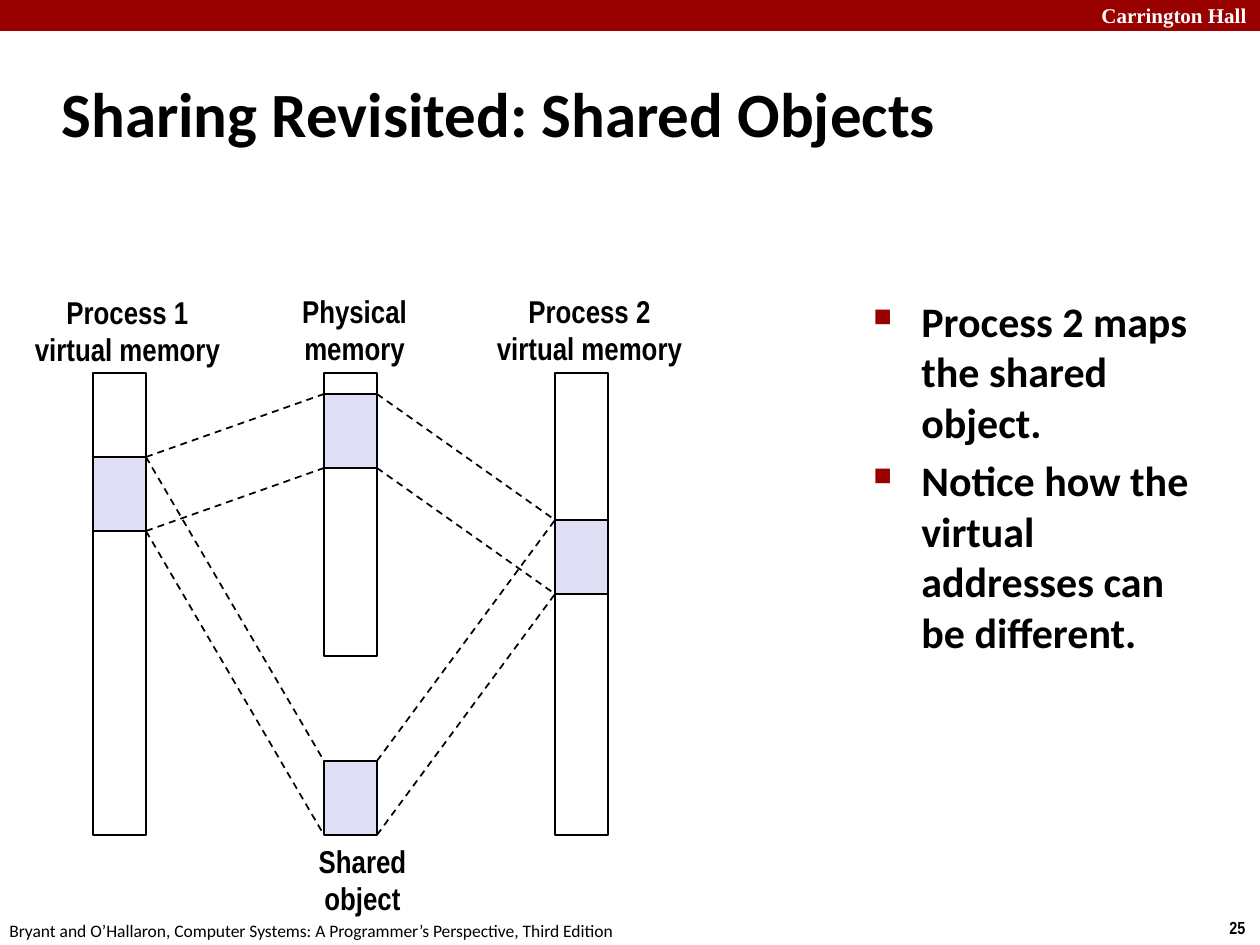
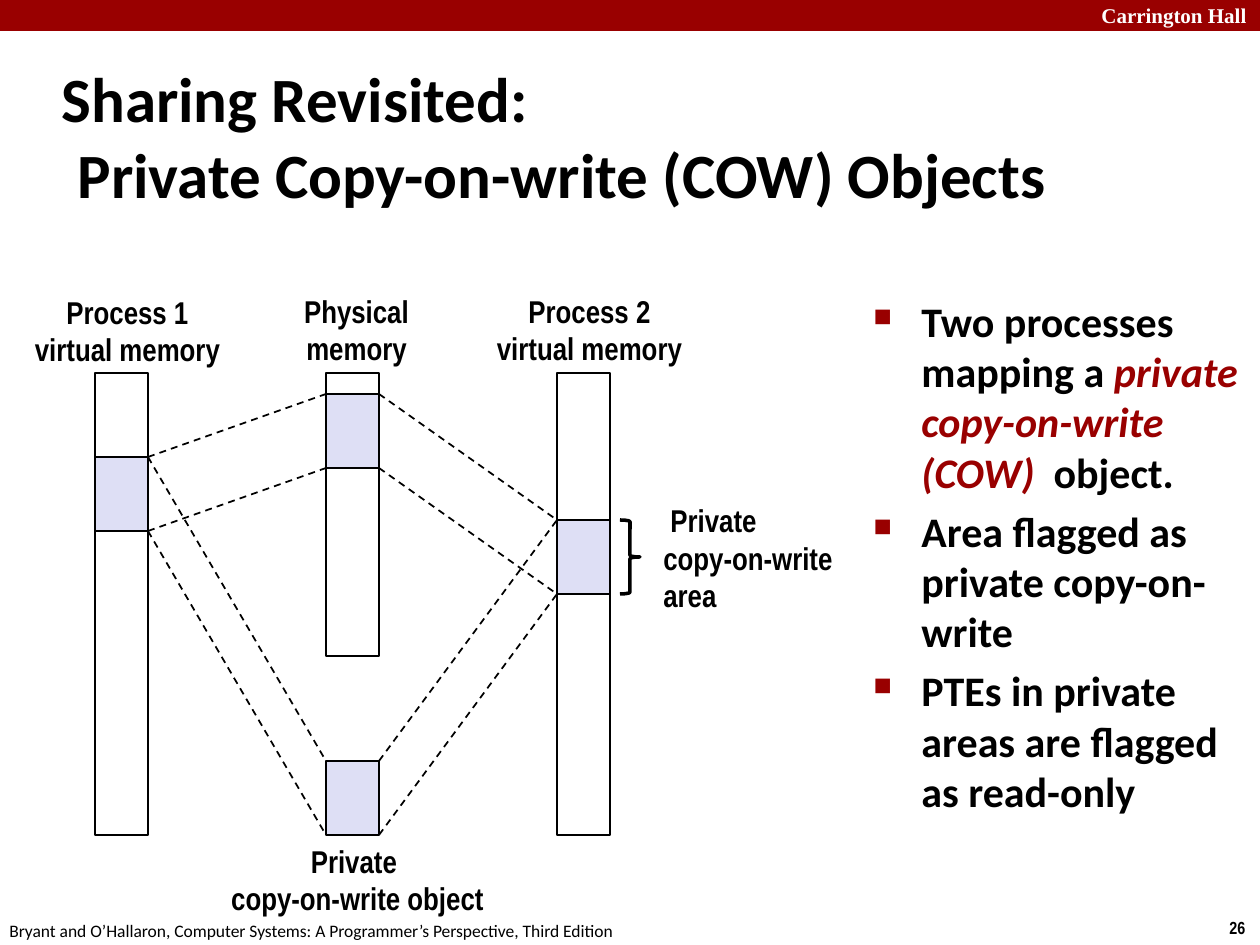
from lxml.etree import SubElement
from pptx import Presentation
from pptx.dml.color import RGBColor
from pptx.enum.dml import MSO_LINE
from pptx.enum.shapes import MSO_CONNECTOR, MSO_SHAPE
from pptx.enum.text import MSO_ANCHOR, MSO_AUTO_SIZE, PP_ALIGN
from pptx.oxml.ns import qn
from pptx.util import Pt

SCALE = 914400 / 126
BLACK = RGBColor(0, 0, 0)
WHITE = RGBColor(255, 255, 255)
RED = RGBColor(0x99, 0, 0)
LAVENDER = RGBColor(0xDE, 0xDF, 0xF5)
HEADING_FONT = "Calibri"
LABEL_FONT = "Arial Narrow"
BAND_FONT = "Times New Roman"

PAGE_WIDTH, PAGE_HEIGHT = 1260, 945
BAR_WIDTH, BAR_PITCH = 53, 231
PROCESS_HEIGHT, PHYSICAL_HEIGHT = 462, 283
AREA_HEIGHT = 74
PROCESS_1_AREA, PHYSICAL_AREA, PROCESS_2_AREA, OBJECT_AREA = 84, 21, 147, 388


def px(length):
    return round(length * SCALE)


def px_box(box):
    return [px(length) for length in box]


def add_span(para, text, font, size, color=BLACK, bold=True, italic=False):
    span = para.add_run()
    span.text = text
    span.font.name = font
    span.font.size = Pt(size)
    span.font.color.rgb = color
    span.font.bold = bold
    span.font.italic = italic


def set_indent(para, indent):
    properties = para._p.get_or_add_pPr()
    properties.set("marL", str(px(indent)))
    properties.set("indent", str(-px(indent)))
    return properties


def add_label(page, box, lines, font=LABEL_FONT, size=18, color=BLACK, bold=True,
              align=PP_ALIGN.CENTER, anchor=MSO_ANCHOR.MIDDLE):
    frame = page.shapes.add_textbox(*px_box(box)).text_frame
    frame.word_wrap = False
    frame.auto_size = MSO_AUTO_SIZE.SHAPE_TO_FIT_TEXT
    frame.vertical_anchor = anchor
    for number, line in enumerate(lines):
        para = frame.add_paragraph() if number else frame.paragraphs[0]
        para.alignment = align
        add_span(para, line, font, size, color, bold)


def add_block(page, box, fill=None, line=BLACK, preset=MSO_SHAPE.RECTANGLE, weight=1):
    block = page.shapes.add_shape(preset, *px_box(box))
    block.shadow.inherit = False
    if fill is None:
        block.fill.background()
    else:
        block.fill.solid()
        block.fill.fore_color.rgb = fill
    if line is None:
        block.line.fill.background()
    else:
        block.line.color.rgb = line
        block.line.width = Pt(weight)


def add_dashed_line(page, start, end):
    line = page.shapes.add_connector(MSO_CONNECTOR.STRAIGHT, *px_box(start + end))
    line.line.color.rgb = BLACK
    line.line.width = Pt(1)
    line.line.dash_style = MSO_LINE.DASH
    SubElement(line._element.spPr, qn("a:effectLst"))


def add_page(deck, number, title_lines, title_height):
    page = deck.slides.add_slide(deck.slide_layouts[5])
    add_block(page, (0, 0, PAGE_WIDTH, 31), RED, None)
    edge = {"align": PP_ALIGN.LEFT, "anchor": MSO_ANCHOR.TOP}
    add_label(page, (1089, -4, 180, 38), ["Carrington Hall"], BAND_FONT, 12, WHITE, **edge)
    add_label(page, (1217, 911, 43, 34), [str(number)], size=10, **edge)
    add_label(page, (-3, 914, 640, 34),
              ["Bryant and O’Hallaron, Computer Systems: A Programmer’s Perspective, Third Edition"],
              HEADING_FONT, 10, bold=False, **edge)

    title = page.shapes.title
    title.left, title.top, title.width, title.height = px_box((49, 60, 1046, title_height))
    frame = title.text_frame
    frame.word_wrap = True
    frame.auto_size = MSO_AUTO_SIZE.NONE
    frame.vertical_anchor = MSO_ANCHOR.MIDDLE
    para = frame.paragraphs[0]
    para.alignment = PP_ALIGN.LEFT
    set_indent(para, 16)
    for position, line in enumerate(title_lines):
        if position:
            para.add_line_break()
        add_span(para, line, HEADING_FONT, 36)
    return page


def add_memory_diagram(page, left, top):
    process_1, middle, process_2 = [left + BAR_PITCH * column for column in range(3)]
    bars = ((process_1, PROCESS_HEIGHT), (middle, PHYSICAL_HEIGHT), (process_2, PROCESS_HEIGHT))
    for x, height in bars:
        add_block(page, (x, top, BAR_WIDTH, height))
    areas = ((process_1, PROCESS_1_AREA), (middle, PHYSICAL_AREA),
             (process_2, PROCESS_2_AREA), (middle, OBJECT_AREA))
    for x, offset in areas:
        add_block(page, (x, top + offset, BAR_WIDTH, AREA_HEIGHT), LAVENDER)

    for target in (OBJECT_AREA, PHYSICAL_AREA):
        for edge in (top, top + AREA_HEIGHT):
            add_dashed_line(page, (process_1 + BAR_WIDTH, edge + PROCESS_1_AREA),
                            (middle, edge + target))
            add_dashed_line(page, (middle + BAR_WIDTH, edge + target),
                            (process_2, edge + PROCESS_2_AREA))

    add_label(page, (21, top - 87, 213, 89), ["Process 1", "virtual memory"])
    add_label(page, (middle - 35, top - 88, 131, 89), ["Physical", "memory"])
    add_label(page, (483, top - 88, 213, 89), ["Process 2", "virtual memory"])


def add_private_area_note(page, left, top):
    add_block(page, (left, top, 20, AREA_HEIGHT), preset=MSO_SHAPE.RIGHT_BRACE, weight=2)
    add_label(page, (left + 31, top - 26, 199, 127),
              [" Private", "copy-on-write", "area"], align=PP_ALIGN.LEFT)


def add_bullets(page, box, bullets):
    frame = page.shapes.add_textbox(*px_box(box)).text_frame
    frame.word_wrap = True
    for number, spans in enumerate(bullets):
        para = frame.add_paragraph() if number else frame.paragraphs[0]
        para.space_before = Pt(4.8)
        properties = set_indent(para, 48)
        color = SubElement(properties, qn("a:buClr"))
        SubElement(color, qn("a:srgbClr"), val=str(RED))
        SubElement(properties, qn("a:buSzPct"), val="60000")
        SubElement(properties, qn("a:buChar"), char="■")
        for text, emphasized in spans:
            add_span(para, text, HEADING_FONT, 24, RED if emphasized else BLACK,
                     italic=emphasized)


def build_shared_objects(deck):
    page = add_page(deck, 25, ["Sharing Revisited: Shared Objects"], 105)
    add_memory_diagram(page, 93, 373)
    add_label(page, (306, 835, 113, 89), ["Shared", "object"])
    add_bullets(page, (861, 289, 365, 635), [
        [("Process 2 maps the shared object. ", False)],
        [("Notice how the virtual addresses can be different.", False)],
    ])


def build_private_objects(deck):
    page = add_page(deck, 26, ["Sharing Revisited: ", "Private Copy-on-write (COW) Objects"], 150)
    add_memory_diagram(page, 95, 373)
    add_label(page, (217, 835, 281, 89), ["Private ", "copy-on-write object"])
    add_private_area_note(page, 620, 373 + PROCESS_2_AREA)
    add_bullets(page, (861, 289, 399, 577), [
        [("Two processes mapping a ", False), ("private copy-on-write (COW)  ", True),
         ("object. ", False)],
        [("Area flagged as private copy-on-write", False)],
        [("PTEs in private areas are flagged as read-only", False)],
    ])


deck = Presentation()
deck.slide_width, deck.slide_height = px(PAGE_WIDTH), px(PAGE_HEIGHT)
build_shared_objects(deck)
build_private_objects(deck)
deck.save("out.pptx")
